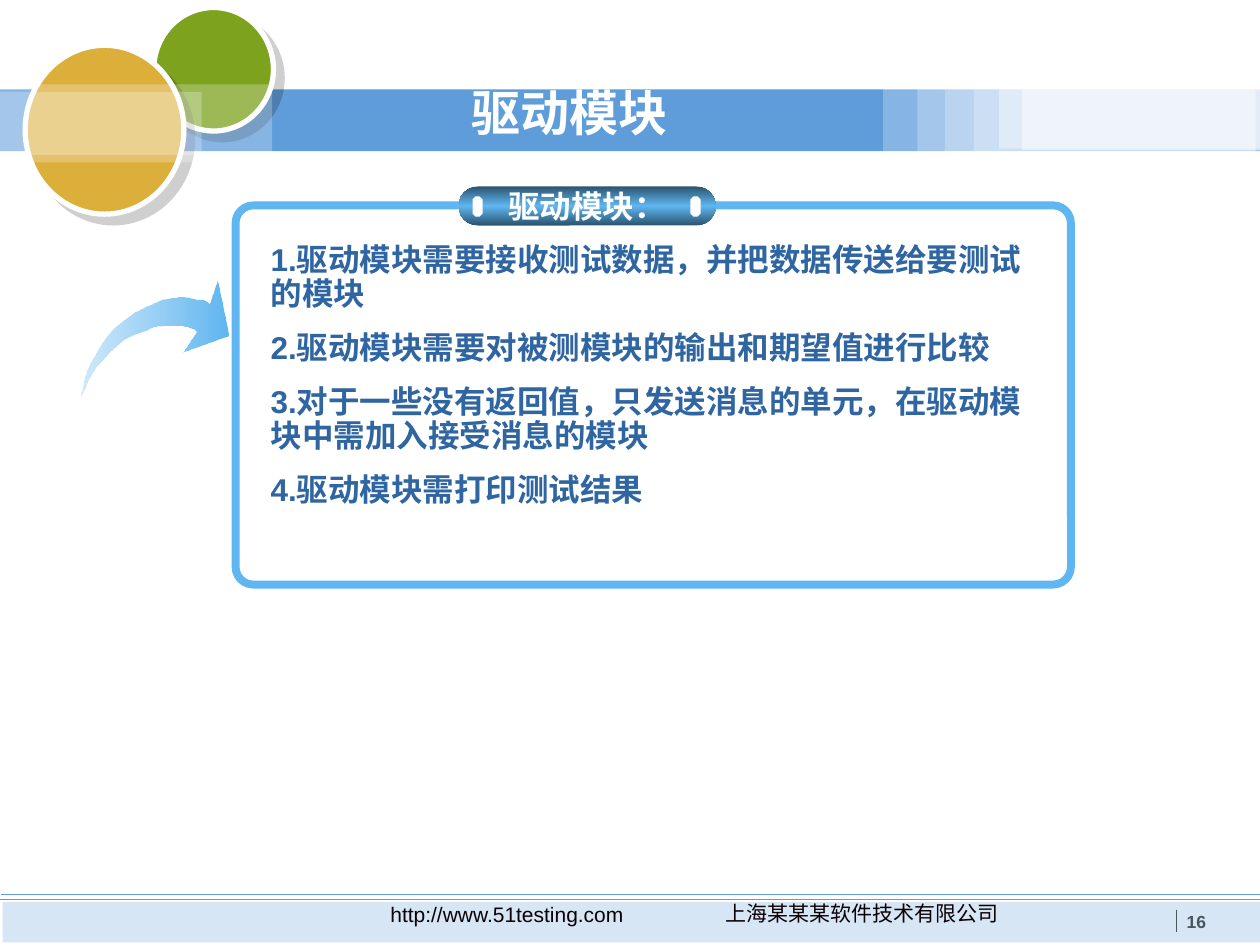
from lxml import etree
from pptx import Presentation
from pptx import util as u
from pptx.dml.color import RGBColor
from pptx.enum import shapes, text
from pptx.oxml.ns import qn

Inches, Pt = u.Inches, u.Pt
SHAPE, ALIGN = shapes.MSO_SHAPE, text.PP_ALIGN
BLUE, SKY, NAVY, WHITE, SLATE, INK = "5E9CDA", "5FB6F1", "2B536F", "FFFFFF", "4A565E", "0B0104"
BODY_BLUE = "2F65A1"

# left, top, width, height, opacity
BAND_VEILS = [
    (7.01, 0.68, 2.95, 0.56, 25), (7.28, 0.7, 2.72, 0.57, 25),
    (7.5, 0.69, 2.5, 0.57, 25), (7.73, 0.71, 2.24, 0.49, 25),
    (7.93, 0.69, 2.07, 0.49, 40), (8.11, 0.7, 1.89, 0.49, 48),
]
CIRCLE_VEILS = [(0, 0.67, 2.16, 0.56, 25), (0, 0.73, 1.6, 0.56, 25)]

# hundredths of an inch
ARROW = [
    (65, 315), (65, 314), (66, 312), (67, 310), (69, 306), (71, 301), (74, 296), (77, 291),
    (82, 286), (87, 280), (93, 275), (99, 270), (107, 266), (115, 263), (122, 260), (129, 259),
    (135, 259), (140, 259), (145, 259), (149, 260), (152, 261), (154, 262), (155, 263),
    (156, 263), (145, 280), (181, 267), (172, 223), (166, 241), (165, 241), (164, 240),
    (162, 239), (159, 238), (155, 238), (151, 237), (146, 236), (141, 236), (135, 237),
    (129, 238), (122, 241), (115, 244), (107, 248), (99, 254), (92, 260), (86, 266),
    (81, 273), (77, 280), (73, 287), (70, 293), (68, 299), (67, 304), (66, 309), (65, 312),
    (65, 314),
]

POINTS = [
    "1.驱动模块需要接收测试数据，并把数据传送给要测试的模块",
    "2.驱动模块需要对被测模块的输出和期望值进行比较",
    "3.对于一些没有返回值，只发送消息的单元，在驱动模块中需加入接受消息的模块",
    "4.驱动模块需打印测试结果",
]


def rgb(color):
    return RGBColor.from_string(color)


def add_color(parent, color, opacity=100):
    clr = etree.SubElement(parent, qn("a:srgbClr"), val=color)
    if opacity < 100:
        etree.SubElement(clr, qn("a:alpha"), val=str(opacity * 1000))


def set_gradient(sp, stops, angle):
    """Fill with (position, colour, opacity) stops along the angle in degrees."""
    sp.fill.gradient()
    grad = sp._element.spPr.find(qn("a:gradFill"))
    for child in list(grad):
        grad.remove(child)
    gs_list = etree.SubElement(grad, qn("a:gsLst"))
    for pos, color, opacity in stops:
        add_color(etree.SubElement(gs_list, qn("a:gs"), pos=str(pos * 1000)), color, opacity)
    etree.SubElement(grad, qn("a:lin"), ang=str(angle * 60000), scaled="0")


def add_shape(s, kind, at, fill=None, opacity=100, line=None, width=0, adj=None):
    sp = s.shapes.add_shape(kind, *map(Inches, at))
    sp.shadow.inherit = False
    if adj is not None:
        sp.adjustments[0] = adj
    if fill:
        sp.fill.solid()
        sp.fill.fore_color.rgb = rgb(fill)
        if opacity < 100:
            solid = sp._element.spPr.find(qn("a:solidFill"))
            solid.remove(solid[0])
            add_color(solid, fill, opacity)
    else:
        sp.fill.background()
    if line:
        sp.line.color.rgb = rgb(line)
        sp.line.width = Pt(width)
    else:
        sp.line.fill.background()
    return sp


def add_veils(s, veils):
    for *at, opacity in veils:
        add_shape(s, SHAPE.RECTANGLE, at, WHITE, opacity)


def add_circle(s, at, fill):
    sp = add_shape(s, SHAPE.OVAL, at, fill, line=WHITE, width=3)
    effects = sp._element.spPr.find(qn("a:effectLst"))
    shadow = etree.SubElement(effects, qn("a:outerShdw"), blurRad="0", dist=str(Pt(7.1)),
                              dir=str(45 * 60000), algn="ctr", rotWithShape="0")
    add_color(shadow, "000000", 19)


def add_line(s, start, end, color):
    ends = map(Inches, (*start, *end))
    cn = s.shapes.add_connector(shapes.MSO_CONNECTOR.STRAIGHT, *ends)
    cn.line.color.rgb = rgb(color)
    cn.line.width = Pt(0.75)
    etree.SubElement(cn._element.spPr, qn("a:effectLst"))


def write(sp, lines, size, color, bold=True, align=ALIGN.LEFT, anchor=text.MSO_ANCHOR.TOP,
          wrap=True, **spacing):
    tf = sp.text_frame
    frame = dict(word_wrap=wrap, auto_size=text.MSO_AUTO_SIZE.NONE, vertical_anchor=anchor,
                 margin_left=Inches(0.1), margin_right=Inches(0.1),
                 margin_top=Inches(0.05), margin_bottom=Inches(0.05))
    for name, value in frame.items():
        setattr(tf, name, value)
    for i, line in enumerate(lines):
        p = tf.paragraphs[0] if i == 0 else tf.add_paragraph()
        p.alignment = align
        for name, value in spacing.items():
            if i or name != "space_before":
                setattr(p, name, value)
        r = p.add_run()
        r.text = line
        for name, value in dict(name="Arial", size=Pt(size), bold=bold).items():
            setattr(r.font, name, value)
        r.font.color.rgb = rgb(color)


def add_text(s, at, lines, size, color, **fmt):
    write(s.shapes.add_textbox(*map(Inches, at)), lines, size, color, **fmt)


def add_arrow(s):
    fb = s.shapes.build_freeform(*ARROW[0], scale=Inches(0.01))
    fb.add_line_segments(ARROW[1:], close=True)
    sp = fb.convert_to_shape()
    sp.shadow.inherit = False
    set_gradient(sp, [(0, SKY, 100), (100, "6DBBF1", 32)], 180)
    sp.line.fill.background()


def add_header(s):
    add_shape(s, SHAPE.RECTANGLE, (0, 0.71, 10, 0.49), BLUE)
    add_circle(s, (1.22, 0.06, 0.95, 0.98), "7CA21E")
    add_veils(s, BAND_VEILS)
    add_circle(s, (0.2, 0.36, 1.26, 1.34), "DCAE3A")
    add_veils(s, CIRCLE_VEILS)


def add_footer(s):
    add_shape(s, SHAPE.RECTANGLE, (0.02, 7.16, 9.98, 0.32), BLUE, 25)
    for x, y in ((0, 7.14), (0.01, 7.1)):
        add_line(s, (x, y), (x + 10, y), BLUE)
    add_line(s, (9.34, 7.22), (9.34, 7.4), SLATE)
    for at, label in (((5.08, 7.1, 3.52, 0.3), "上海某某某软件技术有限公司"),
                      ((2.39, 7.11, 3.27, 0.3), "http://www.51testing.com")):
        add_text(s, at, [label], 12, INK, bold=False, align=ALIGN.CENTER)
    add_text(s, (9.32, 7.18, 0.48, 0.27), ["16"], 10, SLATE)


def add_title(s, at, label):
    title = s.shapes.title
    title.left, title.top, title.width, title.height = map(Inches, at)
    write(title, [label], 28, WHITE, anchor=text.MSO_ANCHOR.MIDDLE, line_spacing=0.9)
    s.shapes._spTree.append(title._element)  # bring in front of the header band


def add_panel(s):
    add_shape(s, SHAPE.ROUNDED_RECTANGLE, (1.87, 1.63, 6.63, 3.01), line=SKY, width=4.5, adj=0.047)
    pill = add_shape(s, SHAPE.ROUNDED_RECTANGLE, (3.64, 1.48, 2.04, 0.31), adj=0.5)
    set_gradient(pill, [(0, NAVY, 100), (50, SKY, 100), (100, NAVY, 100)], 90)
    write(pill, ["驱动模块："], 18, WHITE, align=ALIGN.CENTER,
          anchor=text.MSO_ANCHOR.MIDDLE, wrap=False)
    for x in (5.48, 3.75):
        add_shape(s, SHAPE.OCTAGON, (x, 1.56, 0.08, 0.16), WHITE, adj=0.293)
    add_text(s, (2.05, 1.89, 6.36, 2.19), POINTS, 18, BODY_BLUE,
             line_spacing=0.9, space_before=Pt(7.9), space_after=Pt(3.4))


def main():
    prs = Presentation()
    prs.slide_width, prs.slide_height = Inches(10), Inches(7.5)
    s = prs.slides.add_slide(prs.slide_layouts[5])
    add_header(s)
    add_footer(s)
    add_title(s, (3.64, 0.4, 2.56, 1.04), "驱动模块")
    add_arrow(s)
    add_panel(s)
    prs.save("out.pptx")


if __name__ == "__main__":
    main()
